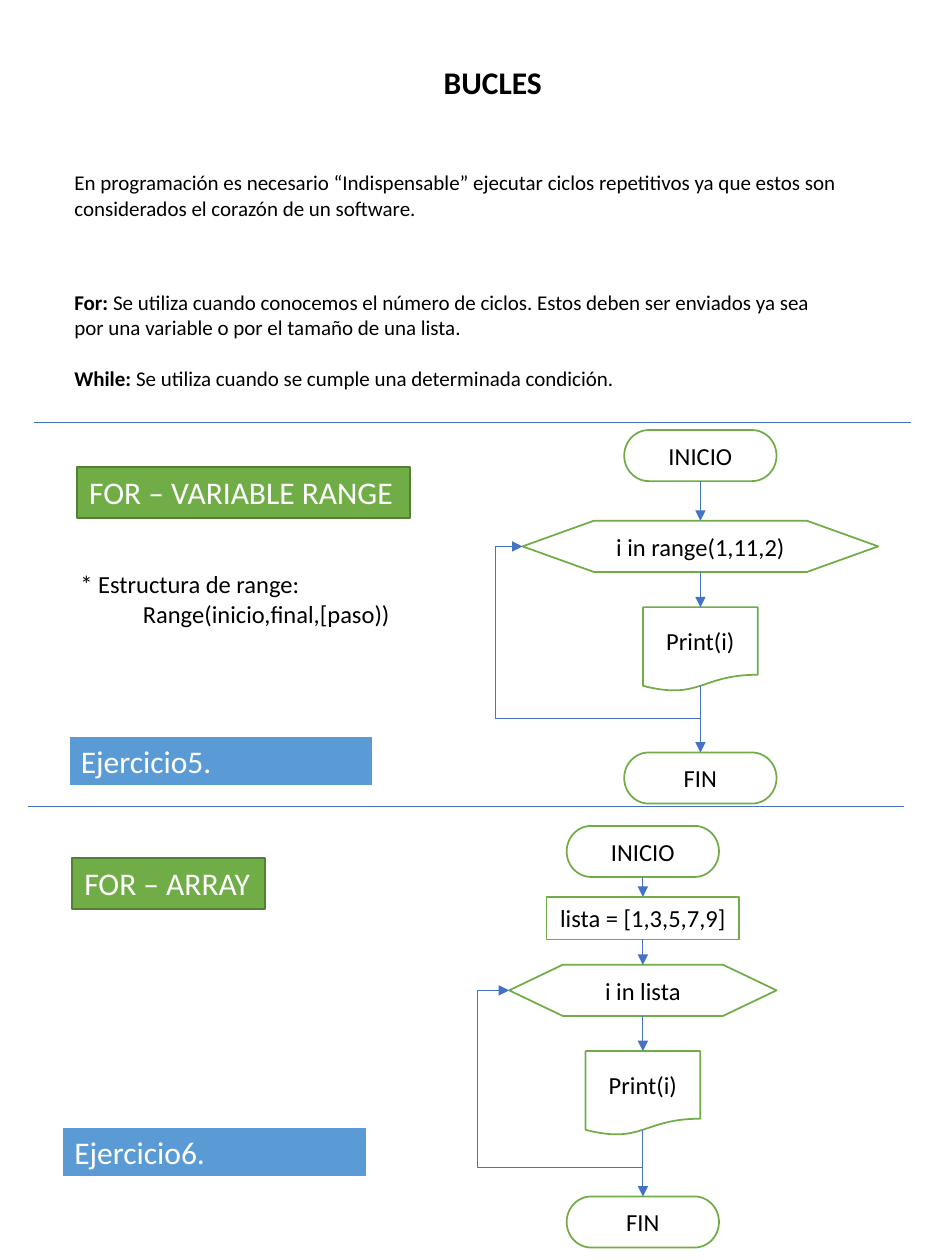
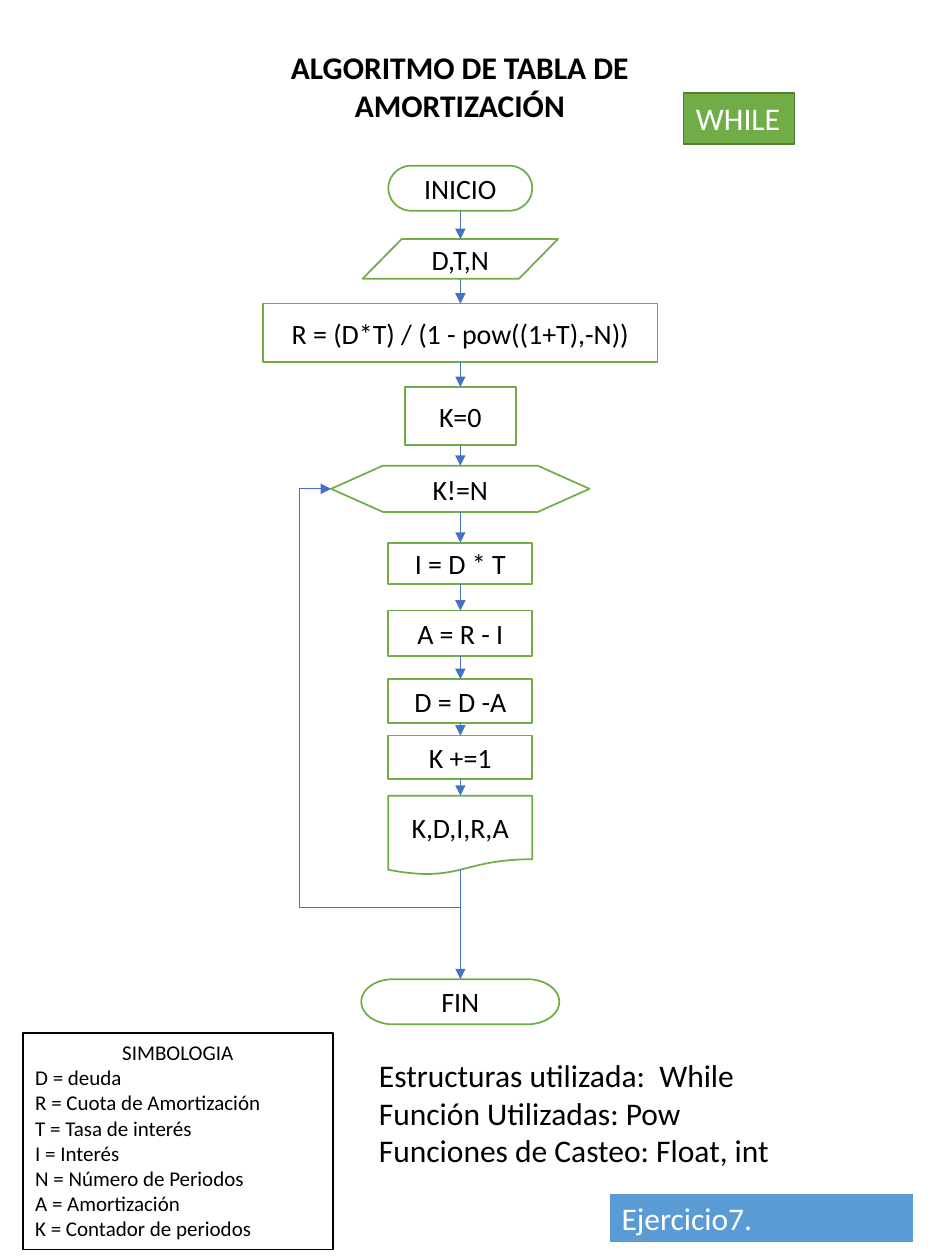
from dataclasses import dataclass
from itertools import pairwise
from typing import Optional, Sequence

from lxml.etree import SubElement
from pptx import Presentation
from pptx.dml.color import RGBColor
from pptx.enum.shapes import MSO_CONNECTOR, MSO_SHAPE
from pptx.enum.text import MSO_ANCHOR, MSO_AUTO_SIZE, PP_ALIGN
from pptx.oxml.ns import qn
from pptx.util import Cm, Pt


@dataclass(frozen=True)
class Theme:
    font: str = "Calibri"
    black: str = "000000"
    white: str = "FFFFFF"
    green: str = "70AD47"
    dark_green: str = "538035"
    blue: str = "5B9BD5"
    arrow: str = "4472C4"
    title: int = 18
    body: int = 12
    note: int = 14


@dataclass(frozen=True)
class Box:
    left: float
    top: float
    width: float
    height: float

    def lengths(self) -> list:
        return [Cm(v) for v in (self.left, self.top, self.width, self.height)]


@dataclass(frozen=True)
class Step:
    kind: MSO_SHAPE
    text: str
    top: float
    width: float
    height: float

    @property
    def exit(self) -> float:
        edge = DOCUMENT_EDGE if self.kind == DOCUMENT else 1
        return self.top + self.height * edge


@dataclass(frozen=True)
class Flow:
    center: float
    size: int
    steps: Sequence[Step]
    loop: int
    drop: float
    reach: float


T = Theme()
START = MSO_SHAPE.FLOWCHART_TERMINATOR
LOOP = MSO_SHAPE.FLOWCHART_PREPARATION
DOCUMENT = MSO_SHAPE.FLOWCHART_DOCUMENT
INPUT = MSO_SHAPE.FLOWCHART_DATA
PROCESS = MSO_SHAPE.RECTANGLE
DOCUMENT_EDGE = 0.934


def style(p, size: int, color: str, align: PP_ALIGN = PP_ALIGN.LEFT) -> None:
    p.alignment = align
    p.font.name = T.font
    p.font.size = Pt(size)
    p.font.color.rgb = RGBColor.from_string(color)


def write(tf, lines: Sequence[str], size: int, color: str = T.black,
          align: PP_ALIGN = PP_ALIGN.LEFT, wrap: bool = True) -> None:
    tf.word_wrap = wrap
    for i, line in enumerate(lines):
        p = tf.add_paragraph() if i else tf.paragraphs[0]
        p.text = line
        style(p, size, color, align)


def add_title(s, text: str, box: Box, align: PP_ALIGN) -> None:
    sp = s.shapes.title
    sp.left, sp.top, sp.width, sp.height = box.lengths()
    tf = sp.text_frame
    write(tf, [text], T.title, align=align)
    tf.auto_size = MSO_AUTO_SIZE.NONE
    tf.vertical_anchor = MSO_ANCHOR.TOP
    tf.paragraphs[0].font.bold = True


def add_text(s, box: Box, lines: Sequence[str], size: int):
    tf = s.shapes.add_textbox(*box.lengths()).text_frame
    write(tf, lines, size)
    return tf


def add_panel(s, kind: MSO_SHAPE, box: Box, fill: str, line: str, weight: float = 1):
    sp = s.shapes.add_shape(kind, *box.lengths())
    sp.shadow.inherit = False
    sp.fill.solid()
    sp.fill.fore_color.rgb = RGBColor.from_string(fill)
    sp.line.color.rgb = RGBColor.from_string(line)
    sp.line.width = Pt(weight)
    sp.text_frame.vertical_anchor = MSO_ANCHOR.TOP
    return sp


def add_tag(s, text: str, left: float, top: float, width: float) -> None:
    sp = add_panel(s, PROCESS, Box(left, top, width, 1.03), T.green, T.dark_green)
    write(sp.text_frame, [text], T.title, T.white, wrap=False)


def add_exercise(s, number: int, left: float, top: float) -> None:
    sp = add_panel(s, PROCESS, Box(left, top, 6.15, 1.03), T.blue, T.white, 1.5)
    write(sp.text_frame, [f"Ejercicio{number}."], T.title, T.white)


def add_line(s, x1: float, y1: float, x2: float, y2: float, head: bool = False,
             kind: MSO_CONNECTOR = MSO_CONNECTOR.STRAIGHT):
    c = s.shapes.add_connector(kind, Cm(x1), Cm(y1), Cm(x2), Cm(y2))
    c.line.color.rgb = RGBColor.from_string(T.arrow)
    c.line.width = Pt(0.5)
    if head:
        SubElement(c.line._get_or_add_ln(), qn("a:tailEnd"), type="triangle")
    SubElement(c._element.spPr, qn("a:effectLst"))
    return c


def add_return(s, flow: Flow, last: Step, target: Step) -> None:
    entry = target.top + target.height / 2
    rise = last.exit - entry
    run = target.width / 2
    x = flow.center - (run + rise) / 2
    y = entry + (rise - run) / 2
    c = add_line(s, x, y, x + rise, y + run, True, MSO_CONNECTOR.ELBOW)
    xfrm = c._element.spPr.find(qn("a:xfrm"))
    xfrm.set("rot", "5400000")
    xfrm.set("flipH", "1")
    geom = c._element.spPr.find(qn("a:prstGeom"))
    geom.set("prst", "bentConnector4")
    guides = geom.find(qn("a:avLst"))
    if guides is None:
        guides = SubElement(geom, qn("a:avLst"))
    ratios = (-flow.drop / rise, 1 + flow.reach / run)
    for i, ratio in enumerate(ratios, 1):
        SubElement(guides, qn("a:gd"), name=f"adj{i}",
                   fmla=f"val {round(ratio * 100000)}")


def add_flow(s, flow: Flow) -> None:
    for step in flow.steps:
        box = Box(flow.center - step.width / 2, step.top, step.width, step.height)
        sp = add_panel(s, step.kind, box, T.white, T.green)
        write(sp.text_frame, [step.text], flow.size, align=PP_ALIGN.CENTER, wrap=False)
        sp.text_frame.vertical_anchor = MSO_ANCHOR.MIDDLE
    for above, below in pairwise(flow.steps):
        add_line(s, flow.center, above.exit, flow.center, below.top, True)
    add_return(s, flow, flow.steps[-2], flow.steps[flow.loop])


def add_definitions(s, box: Box, entries: Sequence[tuple[str, str]]) -> None:
    tf = add_text(s, box, [""] * len(entries), T.body)
    for i, (p, (term, meaning)) in enumerate(zip(tf.paragraphs, entries)):
        r = p.add_run()
        r.text = term
        r.font.bold = True
        p.add_run().text = meaning
        p.space_before = Pt(14.6 if i else 0)


def for_flow(center: float, top: float, loop_top: float, text: str, width: float,
             drop: float, reach: float, setup: Optional[Step] = None) -> Flow:
    steps = [
        Step(START, "INICIO", top, 3.07, 1.03),
        *([setup] if setup else []),
        Step(LOOP, text, loop_top, width, 1.03),
        Step(DOCUMENT, "Print(i)", loop_top + 1.74, 2.31, 1.7),
        Step(START, "FIN", loop_top + 4.67, 3.07, 1.03),
    ]
    return Flow(center, T.note, steps, len(steps) - 3, drop, reach)


def build_loops(s) -> None:
    add_title(s, "BUCLES", Box(8.69, 1.14, 5.41, 1.03), PP_ALIGN.LEFT)
    add_text(s, Box(1.25, 3.3, 16.97, 1.28), [
        "En programación es necesario “Indispensable” ejecutar ciclos repetitivos "
        "ya que estos son considerados el corazón de un software."], T.body)
    add_definitions(s, Box(1.25, 5.71, 16, 2.31), [
        ("For: ", "Se utiliza cuando conocemos el número de ciclos. Estos deben ser "
                  "enviados ya sea por una variable o por el tamaño de una lista."),
        ("While: ", "Se utiliza cuando se cumple una determinada condición."),
    ])
    add_tag(s, "FOR – VARIABLE RANGE", 1.55, 9.42, 6.71)
    add_exercise(s, 5, 1.38, 14.83)
    tf = add_text(s, Box(1.37, 11.35, 7.62, 1.45),
                  ["* Estructura de range: ", "Range(inicio,final,[paso))"], T.note)
    tf.paragraphs[1]._p.get_or_add_pPr().set("marL", str(Cm(1.26)))
    add_line(s, 0.69, 8.51, 18.36, 8.51)
    add_line(s, 0.56, 16.26, 18.23, 16.26)
    add_flow(s, for_flow(14.12, 8.67, 10.5, "i in range(1,11,2)", 7.17, 0.66, 0.54))
    add_flow(s, for_flow(12.96, 16.65, 19.45, "i in lista", 5.39, 0.75, 0.64,
                         Step(PROCESS, "lista = [1,3,5,7,9]", 18.08, 3.88, 0.86)))
    add_tag(s, "FOR – ARRAY", 1.45, 17.29, 3.89)
    add_exercise(s, 6, 1.25, 22.71)


def build_amortization(s) -> None:
    add_title(s, "ALGORITMO DE TABLA DE AMORTIZACIÓN",
              Box(4.34, 0.84, 9.86, 1.8), PP_ALIGN.CENTER)
    sp = add_panel(s, PROCESS, Box(0.46, 20.83, 6.25, 4.36), T.white, T.black)
    write(sp.text_frame, [
        "SIMBOLOGIA", "D = deuda", "R = Cuota de Amortización", "T = Tasa de interés",
        "I = Interés", "N = Número de Periodos", "A = Amortización",
        "K = Contador de periodos"], T.body)
    sp.text_frame.paragraphs[0].alignment = PP_ALIGN.CENTER
    add_flow(s, Flow(9.28, 16, [
        Step(START, "INICIO", 3.34, 2.9, 0.91),
        Step(INPUT, "D,T,N", 4.82, 3.94, 0.8),
        Step(PROCESS, "R = (D*T) / (1 - pow((1+T),-N))", 6.12, 7.95, 1.18),
        Step(PROCESS, "K=0", 7.8, 2.24, 1.18),
        Step(LOOP, "K!=N", 9.39, 5.21, 0.93),
        Step(PROCESS, "I = D * T", 10.94, 2.9, 0.83),
        Step(PROCESS, "A = R - I", 12.31, 2.9, 0.92),
        Step(PROCESS, "D = D -A", 13.69, 2.9, 0.88),
        Step(PROCESS, "K +=1", 14.83, 2.9, 0.88),
        Step(DOCUMENT, "K,D,I,R,A", 16.04, 2.9, 1.6),
        Step(START, "FIN", 19.74, 3.99, 0.91),
    ], 4, 0.75, 0.64))
    add_text(s, Box(7.39, 21.16, 10.8, 2.57), [
        "Estructuras utilizada:  While", "Función Utilizadas: Pow",
        "Funciones de Casteo: Float, int"], T.title)
    add_tag(s, "WHILE", 13.78, 1.88, 2.24)
    add_exercise(s, 7, 12.28, 24.04)


prs = Presentation()
prs.slide_width, prs.slide_height = Cm(19.05), Cm(25.4)
for build in (build_loops, build_amortization):
    build(prs.slides.add_slide(prs.slide_layouts[5]))
prs.save("out.pptx")
